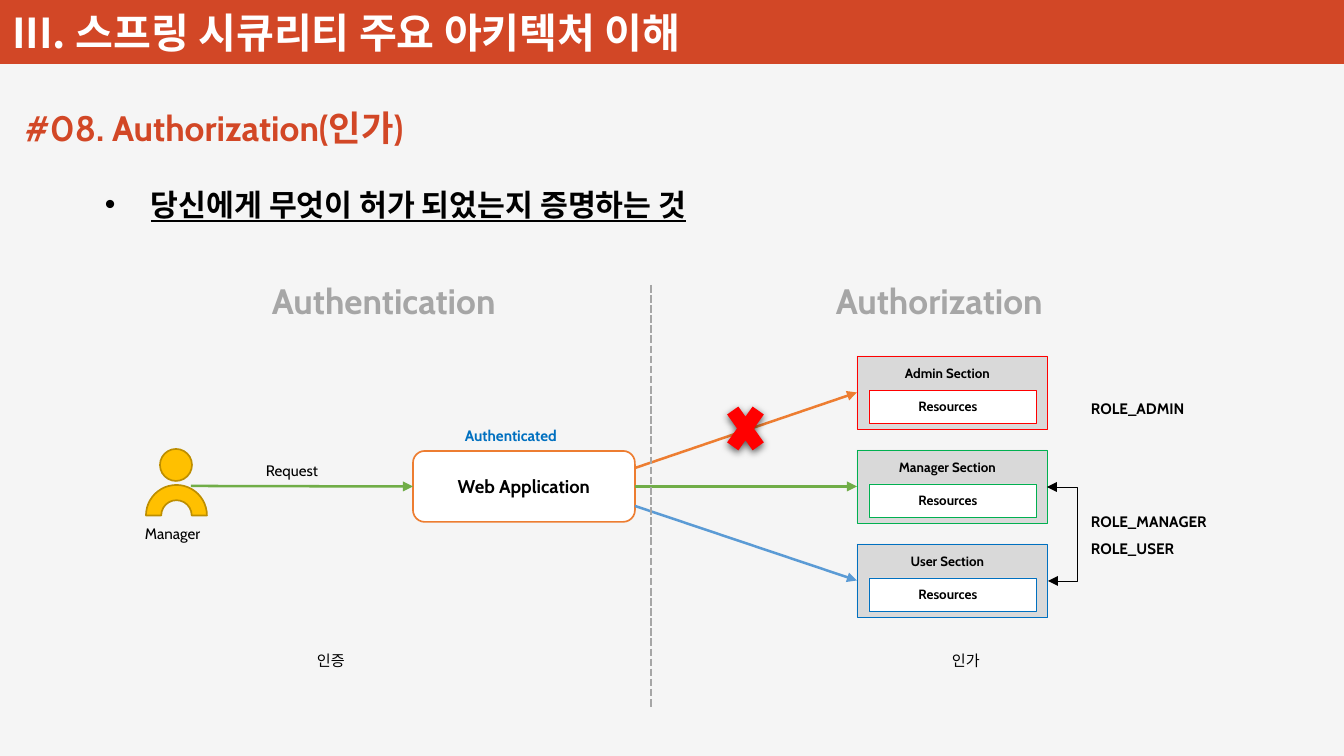
from lxml.etree import SubElement
from pptx import Presentation
from pptx.dml.color import RGBColor
from pptx.enum.dml import MSO_LINE
from pptx.enum.shapes import MSO_CONNECTOR, MSO_SHAPE
from pptx.enum.text import MSO_ANCHOR, MSO_AUTO_SIZE, PP_ALIGN
from pptx.oxml import parse_xml
from pptx.oxml.ns import nsdecls, qn
from pptx.util import Pt

PX = 7557
COLORS = {
    "paper": "F5F5F5", "brand": "D24726", "white": "FFFFFF", "black": "000000",
    "gray": "A6A6A6", "panel": "D9D9D9", "gold": "FFC000", "gold_edge": "BD8E00",
    "red": "FF0000", "green": "00B050", "blue": "0070C0",
    "orange_line": "ED7D31", "green_line": "70AD47", "blue_line": "5B9BD5",
}
RGB = {name: RGBColor.from_string(value) for name, value in COLORS.items()}
HANGUL = "Noto Sans CJK KR"


def write(para, text, size, color="black", bold=True, font="Cabin"):
    span = para.add_run()
    span.text = text
    span.font.size, span.font.bold, span.font.name = Pt(size), bold, font
    span.font.color.rgb = RGB[color]
    SubElement(span._r.get_or_add_rPr(), qn("a:ea"), typeface=HANGUL)
    return span


def draw(kind, left, top, width, height, fill, edge=None, weight=1):
    """Add a preset shape, sized in px, without a shadow."""
    shape = page.shapes.add_shape(kind, left * PX, top * PX, width * PX, height * PX)
    shape.shadow.inherit = False
    shape.fill.solid()
    shape.fill.fore_color.rgb = RGB[fill]
    if edge:
        shape.line.color.rgb = RGB[edge]
        shape.line.width = Pt(weight)
    else:
        shape.line.fill.background()
    return shape


deck = Presentation()
deck.slide_width, deck.slide_height = 1344 * PX, 756 * PX
page = deck.slides.add_slide(deck.slide_layouts[5])
page.background.fill.solid()
page.background.fill.fore_color.rgb = RGB["paper"]

# Header
title = page.shapes.title
title.left, title.top, title.width, title.height = 1 * PX, -12 * PX, 813 * PX, 74 * PX
title_frame = title.text_frame
title_frame.auto_size = MSO_AUTO_SIZE.NONE
title_frame.vertical_anchor = MSO_ANCHOR.BOTTOM
title_frame.margin_left = title_frame.margin_right = 11 * PX
title_frame.margin_top = title_frame.margin_bottom = 5 * PX
title_frame.paragraphs[0].alignment = PP_ALIGN.LEFT
write(title_frame.paragraphs[0], "III. 스프링 시큐리티 주요 아키텍처 이해", 24.5, "white", font=HANGUL)
header = draw(MSO_SHAPE.RECTANGLE, 0, 0, 1344, 64, "brand")
title.element.addprevious(header.element)

# Bulleted definition
definition = page.shapes.add_textbox(93 * PX, 162 * PX, 1157 * PX, 61 * PX)
definition.text_frame.word_wrap = True
para = definition.text_frame.paragraphs[0]
para.line_spacing = 1.5
properties = para._p.get_or_add_pPr()
properties.set("marL", str(46 * PX))
properties.set("indent", str(-46 * PX))
SubElement(properties, qn("a:buFont"), typeface="Arial")
SubElement(properties, qn("a:buChar"), char="•")
write(para, "당신에게 무엇이 허가 되었는지 증명하는 것", 18).font.underline = True

# Web application and the three protected sections
application = draw(MSO_SHAPE.ROUNDED_RECTANGLE, 413, 451, 222, 71, "white", "orange_line")
application.text_frame.vertical_anchor = MSO_ANCHOR.MIDDLE
application.text_frame.paragraphs[0].alignment = PP_ALIGN.CENTER
write(application.text_frame.paragraphs[0], "Web Application", 11)

sections = []
for index, (name, color) in enumerate([("Admin", "red"), ("Manager", "green"), ("User", "blue")]):
    top = 356 + 94 * index
    section = draw(MSO_SHAPE.RECTANGLE, 857, top, 190, 73, "panel", color, 0.25)
    resources = draw(MSO_SHAPE.RECTANGLE, 869, top + 34, 167, 33, "white", color, 0.25)
    for shape, label, anchor, inset in [
        (section, f"{name} Section", MSO_ANCHOR.TOP, 9),
        (resources, "Resources", MSO_ANCHOR.MIDDLE, 0),
    ]:
        frame = shape.text_frame
        frame.vertical_anchor = anchor
        frame.margin_left, frame.margin_right = 0, 9 * PX
        frame.margin_top, frame.margin_bottom = inset * PX, 0
        frame.paragraphs[0].alignment = PP_ALIGN.CENTER
        write(frame.paragraphs[0], label, 8)
    sections.append(section)
admin, manager, user = sections

# Lines: kind, start, end, start shape, end shape, colour, weight, arrowheads
straight, elbow = MSO_CONNECTOR.STRAIGHT, MSO_CONNECTOR.ELBOW
for kind, start, end, source, target, color, weight, heads in [
    (straight, (635, 468), (857, 393), None, admin, "orange_line", 1.5, ["tailEnd"]),
    (straight, (191, 486), (413, 486), None, application, "green_line", 1.5, ["tailEnd"]),
    (straight, (635, 486), (857, 486), application, manager, "green_line", 1.5, ["tailEnd"]),
    (straight, (635, 506), (857, 581), None, user, "blue_line", 1.5, ["tailEnd"]),
    (elbow, (1047, 487), (1048, 581), None, None, "black", 0.5, ["headEnd", "tailEnd"]),
    (straight, (651, 285), (651, 709), None, None, "gray", 1.5, []),
]:
    line = page.shapes.add_connector(kind, *[value * PX for value in start + end])
    if source:
        line.begin_connect(source, 3)
    if target:
        line.end_connect(target, 1)
    line.line.color.rgb = RGB[color]
    line.line.width = Pt(weight)
    if not heads:
        line.line.dash_style = MSO_LINE.SQUARE_DOT
    for head in heads:
        SubElement(line.line._get_or_add_ln(), qn(f"a:{head}"), type="triangle")
    shape_properties = line.element.spPr
    SubElement(shape_properties, qn("a:effectLst"))
    if kind == elbow:
        # The bend lies 30 px right of a connector that is 1 px wide
        guides = shape_properties.find(qn("a:prstGeom")).get_or_add_avLst()
        SubElement(guides, qn("a:gd"), name="adj1", fmla="val 3000000")

# Person and blocked mark
draw(MSO_SHAPE.OVAL, 160, 449, 32, 32, "gold", "gold_edge")
draw(MSO_SHAPE.BLOCK_ARC, 146, 485, 61, 61, "gold", "gold_edge")
blocked = draw(MSO_SHAPE.MATH_MULTIPLY, 721, 394, 49, 69, "red")
blocked.adjustments[0] = 0.28
blocked.element.spPr.find(qn("a:effectLst")).append(parse_xml(
    f'<a:outerShdw {nsdecls("a")} blurRad="57150" dist="19050" dir="5400000" algn="ctr" '
    'rotWithShape="0"><a:srgbClr val="000000"><a:alpha val="63000"/></a:srgbClr></a:outerShdw>'))

# Labels: left, top, width, height, lines, size, colour, bold, line spacing
for left, top, width, height, lines, size, color, bold, spacing in [
    (13, 100, 436, 54, ["#08. Authorization(인가)"], 21, "brand", True, 1),
    (260, 273, 275, 54, ["Authentication"], 21, "gray", True, 1),
    (824, 273, 257, 54, ["Authorization"], 21, "gray", True, 1),
    (254, 455, 79, 30, ["Request"], 9, "black", False, 1),
    (453, 420, 127, 30, ["Authenticated"], 9, "blue", True, 1),
    (133, 518, 85, 30, ["Manager"], 9, "black", False, 1),
    (1079, 384, 122, 36, ["ROLE_ADMIN"], 9, "black", True, 1.5),
    (1079, 497, 145, 64, ["ROLE_MANAGER", "ROLE_USER"], 9, "black", True, 1.5),
    (305, 645, 54, 30, ["인증"], 9, "black", False, 1),
    (940, 645, 54, 30, ["인가"], 9, "black", False, 1),
]:
    box = page.shapes.add_textbox(left * PX, top * PX, width * PX, height * PX)
    frame = box.text_frame
    frame.word_wrap = False
    frame.auto_size = MSO_AUTO_SIZE.SHAPE_TO_FIT_TEXT
    for index, text in enumerate(lines):
        para = frame.add_paragraph() if index else frame.paragraphs[0]
        para.line_spacing = spacing
        write(para, text, size, color, bold)

deck.save("out.pptx")
